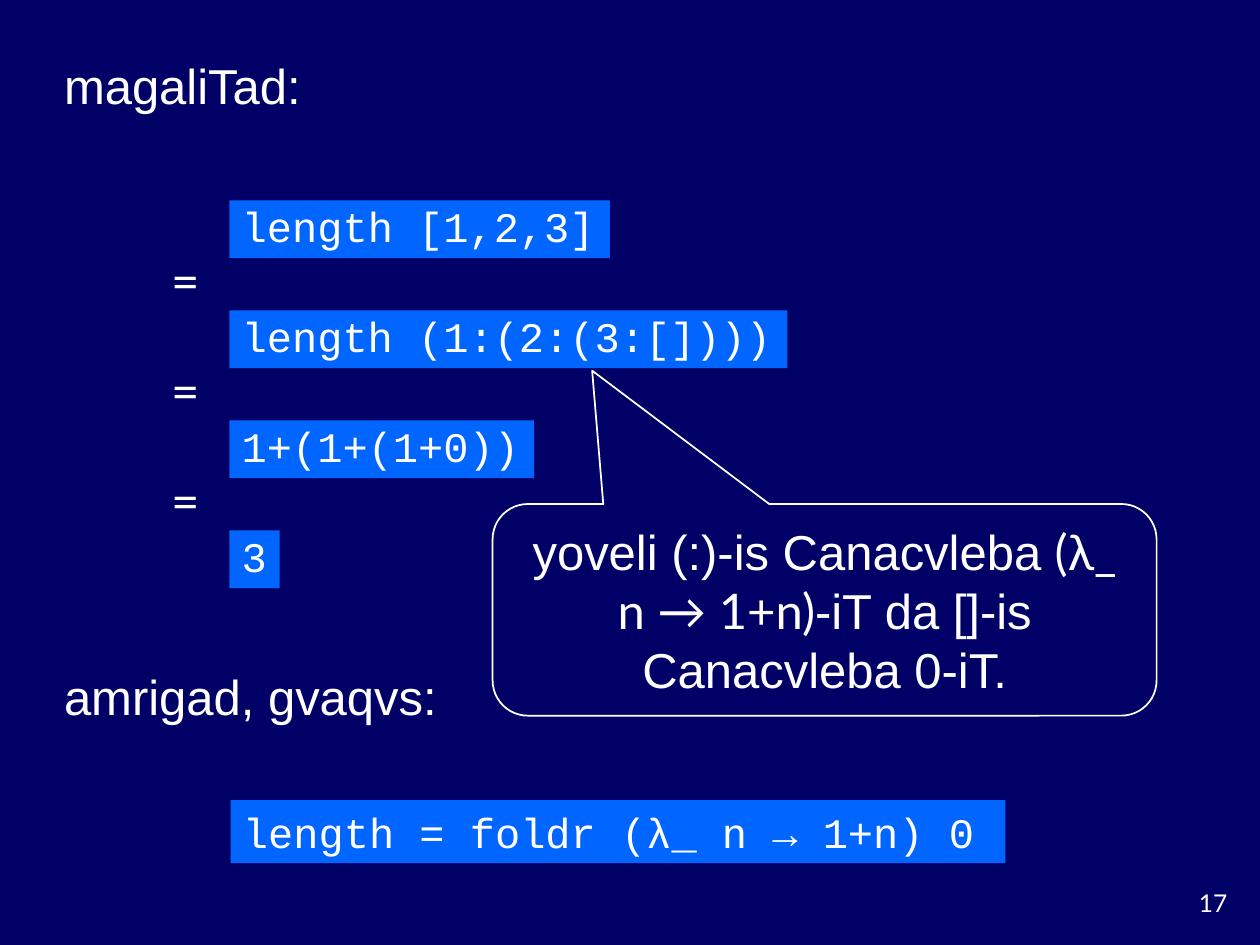
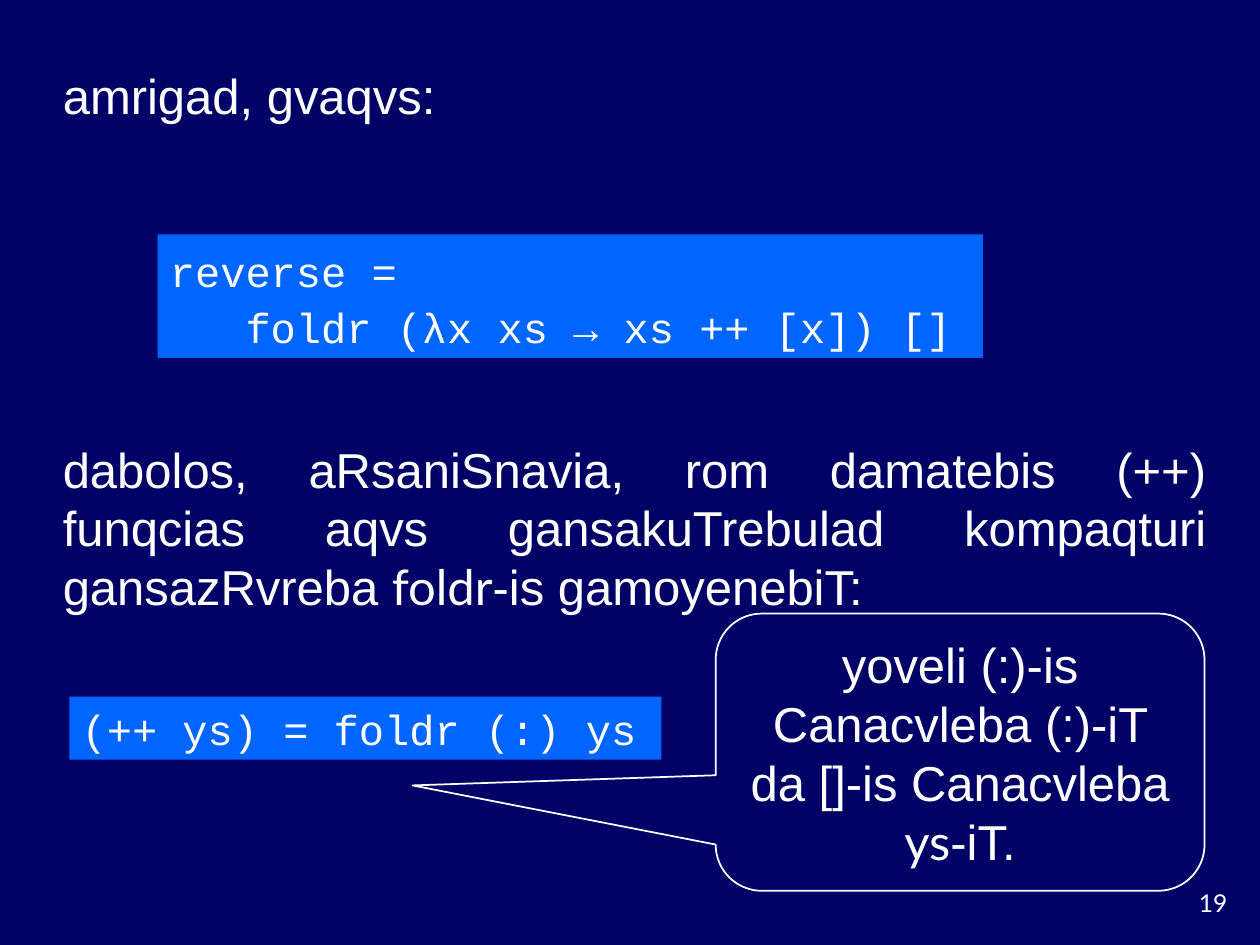
from dataclasses import dataclass
from typing import NamedTuple

from pptx import Presentation
from pptx.dml.color import RGBColor
from pptx.enum.shapes import MSO_SHAPE
from pptx.enum.text import MSO_ANCHOR, PP_ALIGN
from pptx.shapes.autoshape import Shape
from pptx.slide import Slide
from pptx.util import Inches, Pt

NAVY = RGBColor(0x00, 0x00, 0x66)
BLUE = RGBColor(0x00, 0x66, 0xFF)
WHITE = RGBColor(0xFF, 0xFF, 0xFF)

BODY_FONT = "Arial"
SYMBOL_FONT = "Lato"
CODE_FONT = "Courier New"
BODY_SIZE, CODE_SIZE, NUMBER_SIZE = 28, 24, 14

SLIDE_WIDTH, SLIDE_HEIGHT = Inches(10), Inches(7.5)
COLUMN = SLIDE_WIDTH / 100
ROW = SLIDE_HEIGHT / 75

CODE_INDENT = Inches(0.6)  # three characters of code
STEP_PITCH = 8.73  # rows from one evaluation step to the next
STEP_LEFT, FIRST_STEP_TOP = 18.2, 15.9
EQUALS_LEFT, FIRST_EQUALS_TOP = 12.3, 19.4


class Box(NamedTuple):
    """A place on the slide, in grid columns and rows."""

    left: float
    top: float
    width: float
    height: float

    def lengths(self) -> tuple[int, int, int, int]:
        return (round(self.left * COLUMN), round(self.top * ROW),
                round(self.width * COLUMN), round(self.height * ROW))


class Piece(NamedTuple):
    text: str
    font: str = BODY_FONT


@dataclass(frozen=True)
class Code:
    box: Box
    lines: tuple[str, ...]
    line_spacing: float = 1.0


@dataclass(frozen=True)
class Callout:
    box: Box
    pieces: tuple[Piece, ...]
    tip: tuple[float, float]


STEPS = (
    ("length [1,2,3]", 30.2),
    ("length (1:(2:(3:[])))", 44.3),
    ("1+(1+(1+0))", 24.2),
    ("3", 4),
)
LENGTH_CODE = Code(Box(18.3, 63.5, 61.5, 5), ("length = foldr (λ_ n → 1+n) 0",))
LENGTH_CALLOUT = Callout(
    Box(39.1, 40, 52.7, 16.8),
    (Piece("yoveli (:)-is Canacvleba "), Piece("(λ_ n → 1+n)", SYMBOL_FONT),
     Piece("-iT da []-is Canacvleba 0-iT.")),
    (-0.35, -1.13),
)
REVERSE_CODE = Code(Box(12.5, 18.6, 65.5, 9.8),
                    ("reverse =", "foldr (λx xs → xs ++ [x]) []"), 1.1)
APPEND_TEXT = (
    Piece("dabolos, aRsaniSnavia, rom damatebis (++) funqcias aqvs "
          "gansakuTrebulad kompaqturi gansazRvreba "),
    Piece("foldr", SYMBOL_FONT),
    Piece("-is gamoyenebiT:"),
)
APPEND_CODE = Code(Box(5.5, 55.3, 47, 5), ("(++ ys) = foldr (:) ys",))
APPEND_CALLOUT = Callout(
    Box(56.8, 48.7, 38.8, 22),
    (Piece("yoveli (:)-is Canacvleba (:)-iT da []-is Canacvleba "),
     Piece("ys", SYMBOL_FONT), Piece("-iT.")),
    (-1.12, 0.12),
)


def fill_paragraph(paragraph, pieces: tuple[Piece, ...], size: float,
                   alignment: PP_ALIGN = PP_ALIGN.LEFT) -> None:
    paragraph.alignment = alignment
    for piece in pieces:
        run = paragraph.add_run()
        run.text = piece.text
        run.font.name = piece.font
        run.font.size = Pt(size)
        run.font.color.rgb = WHITE


def add_text(slide: Slide, box: Box, pieces: tuple[Piece, ...],
             size: float = BODY_SIZE, alignment: PP_ALIGN = PP_ALIGN.LEFT,
             wrap: bool = False) -> None:
    text_frame = slide.shapes.add_textbox(*box.lengths()).text_frame
    text_frame.word_wrap = wrap
    text_frame.vertical_anchor = MSO_ANCHOR.MIDDLE
    fill_paragraph(text_frame.paragraphs[0], pieces, size, alignment)


def add_plain_shape(slide: Slide, preset: MSO_SHAPE, box: Box) -> Shape:
    """Add a preset shape without shadow whose text wraps around its middle."""
    shape = slide.shapes.add_shape(preset, *box.lengths())
    shape.shadow.inherit = False
    shape.text_frame.word_wrap = True
    shape.text_frame.vertical_anchor = MSO_ANCHOR.MIDDLE
    return shape


def add_code(slide: Slide, code: Code) -> None:
    """Add a code panel; every line after the first is indented."""
    shape = add_plain_shape(slide, MSO_SHAPE.RECTANGLE, code.box)
    shape.fill.solid()
    shape.fill.fore_color.rgb = BLUE
    shape.line.fill.background()
    text_frame = shape.text_frame
    for index, line in enumerate(code.lines):
        paragraph = text_frame.add_paragraph() if index else text_frame.paragraphs[0]
        fill_paragraph(paragraph, (Piece(line, CODE_FONT),), CODE_SIZE)
        paragraph.line_spacing = code.line_spacing
        if index:
            paragraph._p.get_or_add_pPr().set("marL", str(CODE_INDENT))


def add_callout(slide: Slide, callout: Callout) -> None:
    shape = add_plain_shape(slide, MSO_SHAPE.ROUNDED_RECTANGULAR_CALLOUT, callout.box)
    shape.fill.background()
    shape.line.color.rgb = WHITE
    shape.line.width = Pt(1)
    shape.adjustments[0], shape.adjustments[1] = callout.tip
    fill_paragraph(shape.text_frame.paragraphs[0], callout.pieces, BODY_SIZE,
                   PP_ALIGN.CENTER)


def add_numbered_slide(presentation: Presentation, number: int) -> Slide:
    slide = presentation.slides.add_slide(presentation.slide_layouts[6])
    slide.background.fill.solid()
    slide.background.fill.fore_color.rgb = NAVY
    add_text(slide, Box(91.7, 70, 6.7, 3.3), (Piece(str(number), SYMBOL_FONT),),
             NUMBER_SIZE, PP_ALIGN.RIGHT, wrap=True)
    return slide


def add_evaluation(slide: Slide) -> None:
    """Stack the evaluation steps with an equals sign between neighbours."""
    for index, (expression, width) in enumerate(STEPS):
        offset = index * STEP_PITCH
        add_code(slide, Code(Box(STEP_LEFT, FIRST_STEP_TOP + offset, width, 4.6),
                             (expression,), 0.9))
        if index < len(STEPS) - 1:
            add_text(slide, Box(EQUALS_LEFT, FIRST_EQUALS_TOP + offset, 4.8, 5.7),
                     (Piece("=", SYMBOL_FONT),), alignment=PP_ALIGN.CENTER)


def build_length_slide(presentation: Presentation) -> None:
    slide = add_numbered_slide(presentation, 17)
    add_text(slide, Box(4.1, 3.9, 24.2, 5.7), (Piece("magaliTad:"),))
    add_evaluation(slide)
    add_text(slide, Box(4.1, 52.4, 32.2, 5.7), (Piece("amrigad, gvaqvs:"),))
    add_code(slide, LENGTH_CODE)
    add_callout(slide, LENGTH_CALLOUT)


def build_reverse_slide(presentation: Presentation) -> None:
    slide = add_numbered_slide(presentation, 19)
    add_text(slide, Box(4, 4.7, 32.2, 5.7), (Piece("amrigad, gvaqvs:"),))
    add_code(slide, REVERSE_CODE)
    add_text(slide, Box(4, 34.3, 92.7, 15.1), APPEND_TEXT,
             alignment=PP_ALIGN.JUSTIFY, wrap=True)
    add_code(slide, APPEND_CODE)
    add_callout(slide, APPEND_CALLOUT)


def main() -> None:
    presentation = Presentation()
    presentation.slide_width = SLIDE_WIDTH
    presentation.slide_height = SLIDE_HEIGHT
    build_length_slide(presentation)
    build_reverse_slide(presentation)
    presentation.save("out.pptx")


if __name__ == "__main__":
    main()
